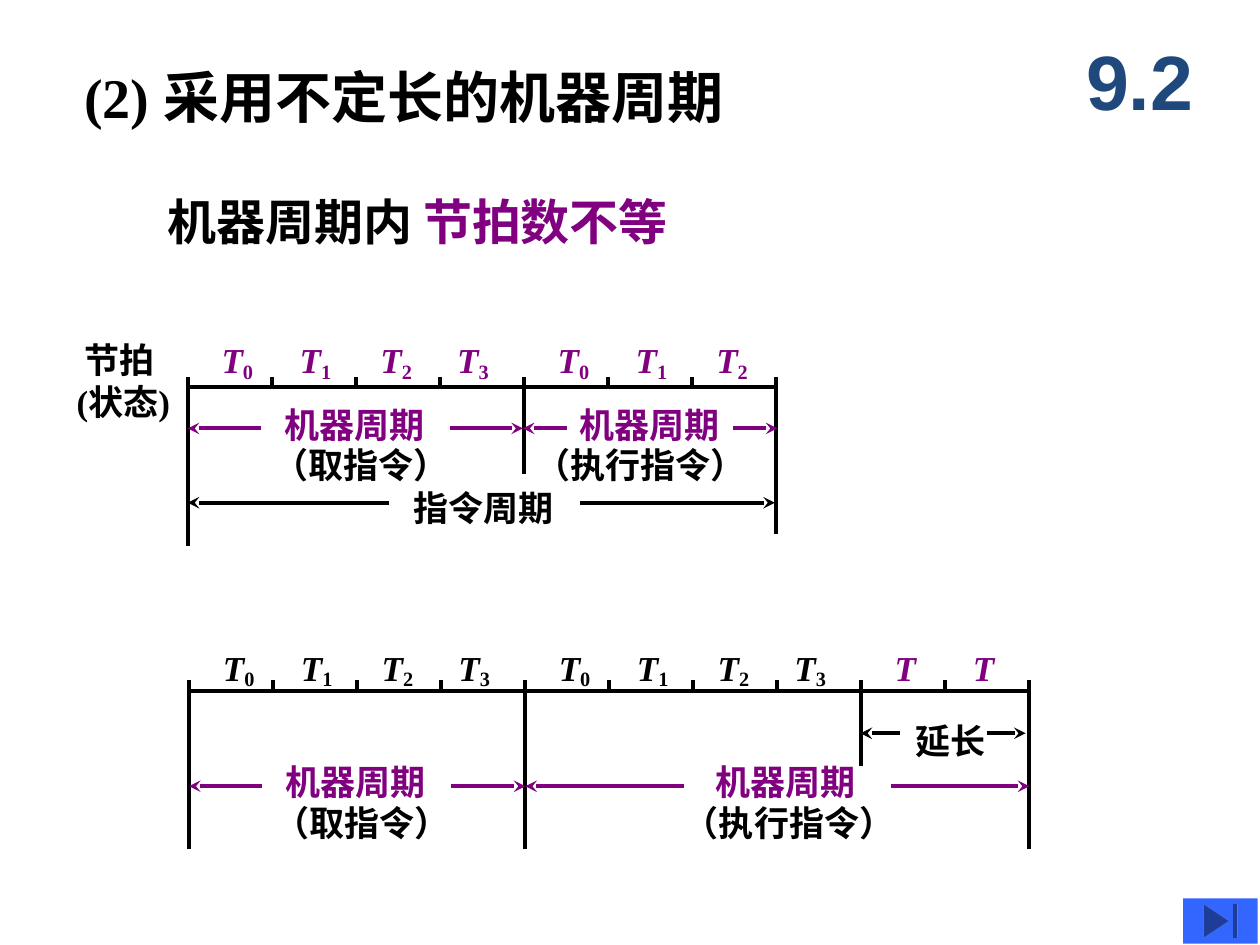
from pptx import Presentation
from pptx.dml.color import RGBColor
from pptx.enum.shapes import MSO_CONNECTOR, MSO_SHAPE
from pptx.enum.text import MSO_ANCHOR, MSO_AUTO_SIZE, PP_ALIGN
from pptx.oxml.ns import qn
from pptx.util import Inches, Pt
from lxml import etree

STRAIGHT = MSO_CONNECTOR.STRAIGHT
BUTTON = MSO_SHAPE.ACTION_BUTTON_END
MIDDLE = MSO_ANCHOR.MIDDLE
FIT, FIXED = MSO_AUTO_SIZE.SHAPE_TO_FIT_TEXT, MSO_AUTO_SIZE.NONE
CENTER = PP_ALIGN.CENTER
COLORS = {"black": "000000", "purple": "800080", "navy": "1F497D", "blue": "3366FF"}
STEP = 2 / 3
SHIFTS = (0.17, 0.79, 1.43, 2.04)


class Board:
    """Draw timing diagrams on one slide in a single style."""

    def __init__(self, slide, face="Times New Roman", size=20, weight=2.25):
        self.slide, self.face, self.size, self.weight = slide, face, size, weight

    def color(self, name):
        return RGBColor.from_string(COLORS[name])

    def font(self, para, size, face, color):
        font = para.font
        font.name, font.size, font.bold = face, Pt(size), True
        font.color.rgb = self.color(color)

    def title(self, text, box):
        shape = self.slide.shapes.title
        shape.left, shape.top, shape.width, shape.height = map(Inches, box)
        frame = shape.text_frame
        frame.text, frame.vertical_anchor, frame.auto_size = text, MIDDLE, FIXED
        para = frame.paragraphs[0]
        para.alignment = CENTER
        self.font(para, 44, "Arial", "navy")

    def text(self, text, box, color="black", size=None, wrap=False):
        shape = self.slide.shapes.add_textbox(*map(Inches, box))
        frame = shape.text_frame
        frame.text, frame.word_wrap, frame.auto_size = text, wrap, FIT
        for para in frame.paragraphs:
            self.font(para, size or self.size, self.face, color)
        return frame.paragraphs[0]

    def beat(self, sub, left, top, color):
        para = self.text("T", (left, top, 0.45 if sub else 0.37, 0.45), color)
        para.runs[0].font.italic = True
        if sub:
            run = para.add_run()
            run.text = sub
            run.font.italic = False
            run.font._element.set("baseline", "-15000")

    def beats(self, subs, left, top, color):
        for sub, shift in zip(subs, SHIFTS):
            self.beat(sub, left + shift, top, color)

    def line(self, start, end, color="black", arrow=False):
        line = self.slide.shapes.add_connector(STRAIGHT, *map(Inches, (*start, *end)))
        line.line.width = Pt(self.weight)
        line.line.color.rgb = self.color(color)
        if arrow:
            tail = etree.SubElement(line.line._get_or_add_ln(), qn("a:tailEnd"))
            tail.set("type", "stealth")
        etree.SubElement(line._element.spPr, qn("a:effectLst"))

    def arrow(self, start, end, y, color="purple"):
        self.line((start, y), (end, y), color, True)

    def axis(self, left, top, count, ends):
        base = top + 0.085
        self.line((left, base), (left + count * STEP, base))
        for i in range(count + 1):
            x = left + i * STEP
            self.line((x, top), (x, ends.get(i, base)))

    def cycle(self, name, left, top, start):
        self.text("机器周期", (left, top, 1.45, 0.44), "purple", wrap=True)
        self.text(name, (start, top + 0.32, 2.1, 0.44), wrap=True)

    def button(self, box):
        shape = self.slide.shapes.add_shape(BUTTON, *map(Inches, box))
        shape.shadow.inherit = False
        shape.fill.solid()
        shape.fill.fore_color.rgb = self.color("blue")
        shape.line.fill.background()


def main():
    deck = Presentation()
    deck.slide_width, deck.slide_height = Inches(10), Inches(7.5)
    board = Board(deck.slides.add_slide(deck.slide_layouts[5]))
    board.title("9.2", (8.42, 0.17, 1.25, 0.92))
    board.text("(2) 采用不定长的机器周期", (0.57, 0.45, 6.4, 0.64), size=32, wrap=True)
    para = board.text("机器周期内 ", (1.23, 1.47, 5.51, 0.57), size=28, wrap=True)
    run = para.add_run()
    run.text = "节拍数不等"
    run.font.color.rgb = board.color("purple")

    left = 1.49
    board.axis(left, 2.99, 7, {0: 4.33, 4: 3.76, 7: 4.24})
    board.text(" 节拍\n(状态)", (0.51, 2.64, 1.3, 0.77), wrap=True)
    board.beats("0123", left, 2.64, "purple")
    board.beats("012", left + 4 * STEP, 2.64, "purple")
    board.cycle("（取指令）", 2.16, 3.15, 2.07)
    board.cycle("（执行指令）", 4.5, 3.15, 4.15)
    for start, end in ((2.07, 1.49), (3.57, 4.15), (4.5, 4.15), (5.82, 6.17)):
        board.arrow(start, end, 3.4)
    board.text("指令周期", (3.18, 3.81, 1.45, 0.44), wrap=True)
    for start, end in ((3.09, 1.49), (4.6, 6.15)):
        board.arrow(start, end, 3.99, "black")

    left = 1.5
    board.axis(left, 5.4, 10, {0: 6.74, 4: 6.74, 8: 6.08, 10: 6.74})
    for i in (0, 4):
        board.beats("0123", left + i * STEP, 5.08, "black")
    board.beats(("", ""), left + 8 * STEP, 5.08, "purple")
    board.cycle("（取指令）", 2.17, 5.99, 2.08)
    board.cycle("（执行指令）", 5.58, 5.99, 5.33)
    for start, end in ((2.08, 1.5), (3.58, 4.17), (5.43, 4.17), (7.07, 8.17)):
        board.arrow(start, end, 6.24)
    board.text("延长", (7.17, 5.66, 0.95, 0.44), wrap=True)
    for start, end in ((7.14, 6.83), (7.83, 8.14)):
        board.arrow(start, end, 5.82, "black")
    board.button((9.39, 7.13, 0.59, 0.36))
    deck.save("out.pptx")


if __name__ == "__main__":
    main()
